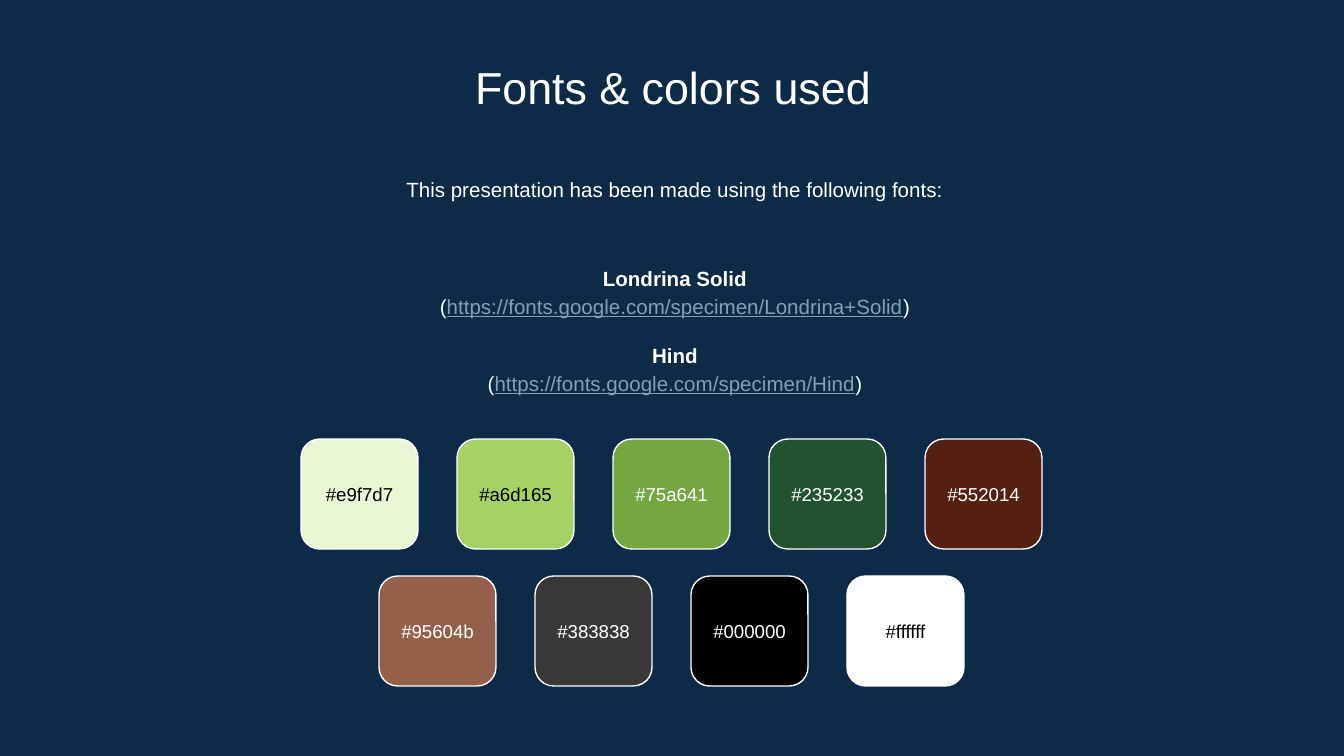
"""Build the slide that lists the fonts and colors used in a presentation."""
from pptx import Presentation
from pptx.dml.color import RGBColor
from pptx.enum.shapes import MSO_SHAPE
from pptx.enum.text import MSO_ANCHOR, PP_ALIGN
from pptx.util import Pt

ROUNDED = MSO_SHAPE.ROUNDED_RECTANGLE
TOP, MIDDLE = MSO_ANCHOR.TOP, MSO_ANCHOR.MIDDLE
CENTER = PP_ALIGN.CENTER

NAVY = RGBColor(0x0E, 0x2A, 0x47)
WHITE = RGBColor(0xFF, 0xFF, 0xFF)
BLACK = RGBColor(0x00, 0x00, 0x00)
LINK_BLUE = RGBColor(0x86, 0x9F, 0xB2)

SCALE = 6804
SLIDE_W, SLIDE_H = 1344, 756
INSET = 13


def px(*lengths):
    return [length * SCALE for length in lengths]


def add_text(bounds, paragraphs, size, color=WHITE, anchor=TOP, spacing=1.0):
    frame = slide.shapes.add_textbox(*px(*bounds)).text_frame
    margin = INSET * SCALE
    frame_format = {
        "word_wrap": True, "vertical_anchor": anchor,
        "margin_left": margin, "margin_right": margin,
        "margin_top": margin, "margin_bottom": margin,
    }
    for name, value in frame_format.items():
        setattr(frame, name, value)
    for index, (space_before, runs) in enumerate(paragraphs):
        paragraph = frame.add_paragraph() if index else frame.paragraphs[0]
        paragraph.alignment = CENTER
        paragraph.line_spacing = spacing
        paragraph.space_before = Pt(space_before)
        for text, changes in runs:
            run = paragraph.add_run()
            run.text = text
            font_format = {"name": "Arial", "size": Pt(size), **changes}
            run_color = font_format.pop("color", color)
            for name, value in font_format.items():
                setattr(run.font, name, value)
            run.font.color.rgb = run_color


presentation = Presentation()
presentation.slide_width, presentation.slide_height = px(SLIDE_W, SLIDE_H)
slide = presentation.slides.add_slide(presentation.slide_layouts[6])
slide.background.fill.solid()
slide.background.fill.fore_color.rgb = NAVY

add_text((155, 47, 1036, 71), [(0, [("Fonts & colors used", {})])], 24)

intro = "This presentation has been made using the following fonts:"
add_text((157, 160, 1036, 64), [(0, [(intro, {})])], 11, spacing=1.15)

fonts_used = [
    ("Londrina Solid", "https://fonts.google.com/specimen/Londrina+Solid"),
    ("Hind", "https://fonts.google.com/specimen/Hind"),
]
font_lines = []
for font_name, address in fonts_used:
    font_lines.append((11 if font_lines else 0, [(font_name, {"bold": True})]))
    address_format = {"color": LINK_BLUE, "underline": True}
    font_lines.append((0, [("(", {}), (address, address_format), (")", {})]))
add_text((157, 237, 1036, 184), font_lines, 11, anchor=MIDDLE, spacing=1.15)

SWATCH_W, SWATCH_H, LABEL_H = 117, 110, 64
PITCH_X, PITCH_Y, FIRST_TOP = 156, 137, 439
palette = [
    [("e9f7d7", BLACK), ("a6d165", BLACK), ("75a641", WHITE),
     ("235233", WHITE), ("552014", WHITE)],
    [("95604b", WHITE), ("383838", WHITE), ("000000", WHITE),
     ("ffffff", BLACK)],
]
for row, swatches in enumerate(palette):
    row_width = (len(swatches) - 1) * PITCH_X + SWATCH_W
    row_left = (SLIDE_W - row_width) // 2
    top = FIRST_TOP + row * PITCH_Y
    label_top = top + (SWATCH_H - LABEL_H) // 2
    for column, (code, label_color) in enumerate(swatches):
        left = row_left + column * PITCH_X
        swatch = slide.shapes.add_shape(ROUNDED, *px(left, top, SWATCH_W, SWATCH_H))
        swatch.shadow.inherit = False
        swatch.adjustments[0] = 0.17
        swatch.fill.solid()
        swatch.fill.fore_color.rgb = RGBColor.from_string(code.upper())
        swatch.line.color.rgb = WHITE
        swatch.line.width = Pt(0.75)
        add_text((left, label_top, SWATCH_W, LABEL_H), [(0, [("#" + code, {})])],
                 10, label_color, MIDDLE)

presentation.save("out.pptx")
